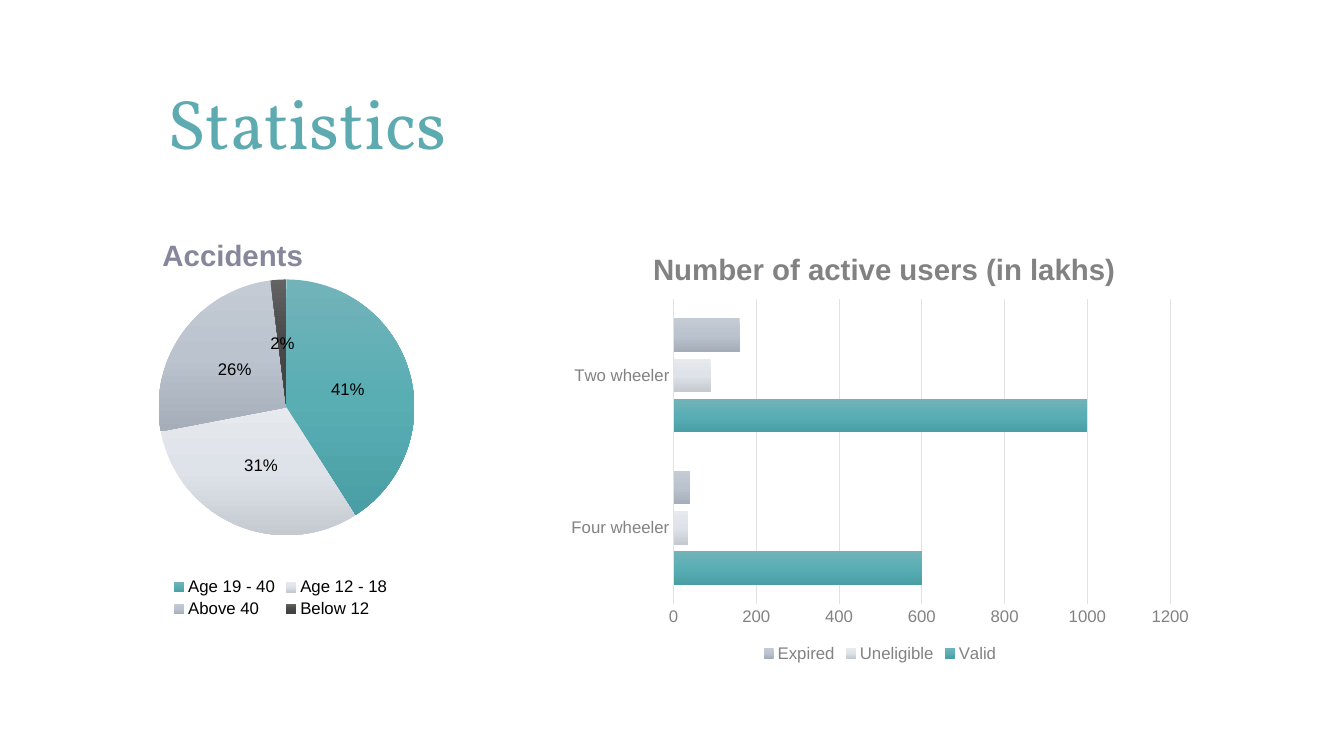
"""Build the Statistics slide with a pie chart and a bar chart."""
from copy import deepcopy
from dataclasses import dataclass

from lxml.etree import SubElement
from pptx import Presentation
from pptx.chart.axis import CategoryAxis, ValueAxis
from pptx.chart.chart import Chart
from pptx.chart.data import CategoryChartData as Data
from pptx.dml.color import RGBColor
from pptx.dml.fill import FillFormat as Fill
from pptx.enum.chart import XL_CHART_TYPE as Kind
from pptx.enum.chart import XL_LABEL_POSITION as Spot
from pptx.enum.chart import XL_LEGEND_POSITION as Side
from pptx.enum.chart import XL_TICK_MARK as Tick
from pptx.enum.text import MSO_ANCHOR as Anchor
from pptx.oxml.ns import qn
from pptx.slide import Slide
from pptx.text.text import Font
from pptx.util import Pt

TEAL = ("72B3B9", "59AEB4", "4A9EA5")
PALE = ("E6E9EE", "DEE3E9", "C5C9D0")
STEEL = ("C4CBD4", "BAC3CE", "A4ADB8")
DARK = ("636363", "484848", "404040")
GREY, BLACK, RULE = "828282", "000000", "E2E2E2"


@dataclass
class Group:
    name: str
    vals: tuple[int, ...]


@dataclass
class Graph:
    kind: Kind
    box: tuple[float, ...]
    title: str
    tint: str
    spot: tuple[float, ...]
    frame: tuple[float, ...]
    ink: str
    cats: tuple[str, ...]
    groups: tuple[Group, ...]


PIE = Graph(
    Kind.PIE, (62.64, 134.64, 275.76, 309.6), "Accidents", "86869C",
    (0.18, 0.1), (0.08, 0.21, 0.87, 0.59), BLACK,
    ("Age 19 - 40", "Age 12 - 18", "Above 40", "Below 12"),
    (Group("Series 1", (41, 31, 26, 2)),))
BARS = Graph(
    Kind.BAR_CLUSTERED, (398.16, 159.84, 460.8, 316.08),
    "Number of active users (in lakhs)", GREY,
    (0.14, 0.05), (0.18, 0.17, 0.77, 0.69), GREY,
    ("Four wheeler", "Two wheeler"),
    (Group("Valid", (600, 1000)), Group("Uneligible", (35, 90)),
     Group("Expired", (40, 160))))


def color(code: str) -> RGBColor:
    return RGBColor.from_string(code)


def style(font: Font, size: float, code: str, face: str = "Arial",
          bold: bool = False) -> None:
    font.size, font.name, font.bold = Pt(size), face, bold
    font.color.rgb = color(code)


def shade(fill: Fill, tones: tuple[str, ...]) -> None:
    fill.gradient()
    fill.gradient_angle = 270
    first = fill.gradient_stops[0]._gs
    first.addnext(deepcopy(first))
    for stop, tone, place in zip(fill.gradient_stops, tones, (0, 0.5, 1)):
        stop.color.rgb = color(tone)
        stop.position = place


def settle(node, at: int, spot: tuple[float, ...]) -> None:
    old = node.find(qn("c:layout"))
    if old is not None:
        node.remove(old)
    layout = SubElement(node, qn("c:layout"))
    node.insert(at, layout)
    manual = SubElement(layout, qn("c:manualLayout"))
    if len(spot) == 4:
        SubElement(manual, qn("c:layoutTarget")).set("val", "inner")
    for mode in ("xMode", "yMode"):
        SubElement(manual, qn(f"c:{mode}")).set("val", "edge")
    for key, part in zip("xywh", spot):
        SubElement(manual, qn(f"c:{key}")).set("val", str(part))


def add_graph(slide: Slide, graph: Graph) -> Chart:
    data = Data()
    data.categories = graph.cats
    for group in graph.groups:
        data.add_series(group.name, group.vals)
    box = [Pt(part) for part in graph.box]
    chart = slide.shapes.add_chart(graph.kind, *box, data).chart
    style(chart.font, 10, "3F3F3F")
    chart.has_title = True
    line = chart.chart_title.text_frame.paragraphs[0]
    line.text = graph.title
    style(line.runs[0].font, 21, graph.tint, bold=True)
    settle(chart.chart_title._element, 1, graph.spot)
    settle(chart._chartSpace.chart.plotArea, 0, graph.frame)
    chart.has_legend = True
    chart.legend.position = Side.BOTTOM
    chart.legend.include_in_layout = False
    style(chart.legend.font, 12, graph.ink)
    return chart


def dress_pie(chart: Chart) -> None:
    plot = chart.plots[0]
    plot.vary_by_categories = True
    for i, tones in enumerate((TEAL, PALE, STEEL, DARK)):
        shade(plot.series[0].points[i].format.fill, tones)
    plot.has_data_labels = True
    labels = plot.data_labels
    labels.show_percentage, labels.show_value = True, False
    labels.number_format, labels.number_format_is_linked = "0%", False
    labels.position = Spot.CENTER
    style(labels.font, 12, BLACK)


def dress_axis(axis: CategoryAxis | ValueAxis) -> None:
    axis.major_tick_mark = axis.minor_tick_mark = Tick.NONE
    style(axis.tick_labels.font, 12, GREY)


def dress_bars(chart: Chart) -> None:
    plot = chart.plots[0]
    plot.vary_by_categories = False
    plot.gap_width, plot.overlap = 115, -20
    for row, tones in zip(plot.series, (TEAL, PALE, STEEL)):
        shade(row.format.fill, tones)
    cats, vals = chart.category_axis, chart.value_axis
    dress_axis(cats)
    dress_axis(vals)
    vals.minimum_scale, vals.maximum_scale, vals.major_unit = 0, 1200, 200
    vals.has_major_gridlines = True
    vals.format.line.fill.background()
    for pen, width in ((cats.format.line, 1),
                       (vals.major_gridlines.format.line, 0.75)):
        pen.color.rgb, pen.width = color(RULE), Pt(width)


def add_head(slide: Slide) -> None:
    box = slide.shapes.add_textbox(Pt(112.32), Pt(53.28), Pt(728.64), Pt(67.68))
    frame = box.text_frame
    frame.word_wrap = True
    frame.vertical_anchor = Anchor.MIDDLE
    frame.text = "Statistics"
    style(frame.paragraphs[0].runs[0].font, 50, "5DAAB0", "Vollkorn")


def main() -> None:
    deck = Presentation()
    deck.slide_width, deck.slide_height = Pt(960), Pt(540)
    slide = deck.slides.add_slide(deck.slide_layouts[6])
    dress_pie(add_graph(slide, PIE))
    dress_bars(add_graph(slide, BARS))
    add_head(slide)
    deck.save("out.pptx")


if __name__ == "__main__":
    main()
